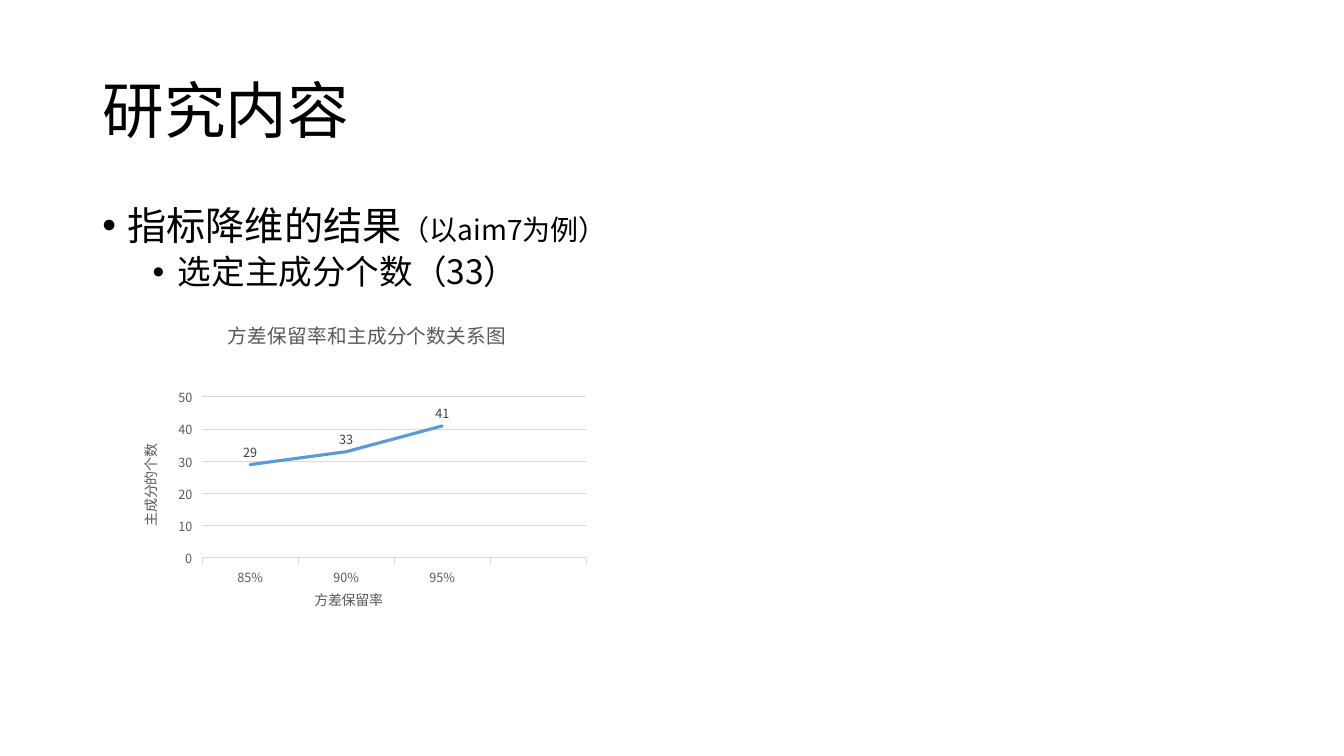
from lxml import etree
from pptx import Presentation
from pptx.chart.data import CategoryChartData
from pptx.dml.color import RGBColor
from pptx.enum import chart as kinds, text
from pptx.oxml.ns import qn
from pptx.util import Pt

FONT = "Noto Sans CJK SC"
BLACK = RGBColor(0x00, 0x00, 0x00)
DARK_GRAY = RGBColor(0x40, 0x40, 0x40)
GRAY = RGBColor(0x59, 0x59, 0x59)
LIGHT_GRAY = RGBColor(0xD9, 0xD9, 0xD9)
BLUE = RGBColor(0x5B, 0x9B, 0xD5)
ORANGE = RGBColor(0xED, 0x7D, 0x31)
SILVER = RGBColor(0xA5, 0xA5, 0xA5)


def style(font, size, color):
    font.name, font.size, font.bold = FONT, Pt(size), False
    font.color.rgb = color


def place(element, index, **fractions):
    """Give a chart part a fixed layout in fractions of the chart."""
    for old in element.findall(qn("c:layout")):
        element.remove(old)
    layout = etree.Element(qn("c:layout"))
    manual = etree.SubElement(layout, qn("c:manualLayout"))
    for name, value in fractions.items():
        etree.SubElement(manual, qn(f"c:{name}")).set("val", str(value))
    element.insert(index, layout)


deck = Presentation()
deck.slide_width, deck.slide_height = Pt(960), Pt(540)
page = deck.slides.add_slide(deck.slide_layouts[5])

# Title
title = page.shapes.title
title.left, title.top, title.width, title.height = Pt(66), Pt(28.75), Pt(828), Pt(104.4)
title.text_frame.text = "研究内容"
title.text_frame.vertical_anchor = text.MSO_ANCHOR.MIDDLE
heading = title.text_frame.paragraphs[0]
heading.alignment = text.PP_ALIGN.LEFT
heading.line_spacing = 0.9
style(heading.runs[0].font, 44, BLACK)

# Bulleted text
bullets = [
    (0, 18, 10, [("指标降维的结果", 28), ("（以aim7为例）", 20)]),
    (1, 54, 5, [("选定主成分个数（33）", 24)]),
]
box = page.shapes.add_textbox(Pt(66), Pt(143.75), Pt(828), Pt(342.6))
frame = box.text_frame
frame.word_wrap = True
for number, (level, margin, space, spans) in enumerate(bullets):
    para = frame.add_paragraph() if number else frame.paragraphs[0]
    para.level, para.line_spacing, para.space_before = level, 0.9, Pt(space)
    for wording, size in spans:
        span = para.add_run()
        span.text = wording
        style(span.font, size, BLACK)
    properties = para._p.get_or_add_pPr()
    properties.set("marL", str(Pt(margin)))
    properties.set("indent", str(Pt(-18)))
    etree.SubElement(properties, qn("a:buFont")).set("typeface", "Arial")
    etree.SubElement(properties, qn("a:buChar")).set("char", "•")

# Line chart: the last category and the last two series are empty
data = CategoryChartData()
data.categories = [0.85, 0.9, 0.95, ""]
data.categories.number_format = "0%"
data.add_series("Series 1", [29, 33, 41, None])
for name in ("Series 2", "Series 3"):
    data.add_series(name, [None] * 4)
chart = page.shapes.add_chart(
    kinds.XL_CHART_TYPE.LINE, Pt(66), Pt(217.5), Pt(392), Pt(244.8), data
).chart
style(chart.font, 10, BLACK)
chart.has_legend = False
place(chart.element.find(".//" + qn("c:plotArea")), 0, layoutTarget="inner",
      xMode="edge", yMode="edge", x=0.2, y=0.27, w=0.7, h=0.47)
for point in list(chart.element.iter(qn("c:pt"))):
    if not point.findtext(qn("c:v")):
        point.getparent().remove(point)

# Axes
categories, values = chart.category_axis, chart.value_axis
for axis in (categories, values):
    style(axis.tick_labels.font, 9, GRAY)
    axis.major_tick_mark = kinds.XL_TICK_MARK.OUTSIDE
    axis.minor_tick_mark = kinds.XL_TICK_MARK.NONE
categories.tick_labels.number_format = "0%"
categories.tick_labels.number_format_is_linked = False
categories.format.line.color.rgb = LIGHT_GRAY
categories.format.line.width = Pt(0.75)
values.format.line.fill.background()
values.minimum_scale, values.maximum_scale, values.major_unit = 0, 50, 10
values.has_major_gridlines = True
values.major_gridlines.format.line.color.rgb = LIGHT_GRAY
values.major_gridlines.format.line.width = Pt(0.75)

# Chart and axis titles
for owner, wording, size, x, y in [
    (chart, "方差保留率和主成分个数关系图", 14, 0.24, 0.03),
    (categories, "方差保留率", 10, 0.4, 0.82),
    (values, "主成分的个数", 10, 0.08, 0.4),
]:
    owner.has_title = True
    label = owner.chart_title if owner is chart else owner.axis_title
    label.text_frame.text = wording
    style(label.text_frame.paragraphs[0].runs[0].font, size, GRAY)
    place(label.element, 1, xMode="edge", yMode="edge", x=x, y=y)
values.axis_title.text_frame._txBody.bodyPr.set("rot", "-5400000")
values.axis_title.text_frame._txBody.bodyPr.set("vert", "horz")

# Series and their labels
plot = chart.plots[0]
plot.vary_by_categories = False
for series, color in zip(plot.series, (BLUE, ORANGE, SILVER)):
    series.smooth = False
    series.marker.style = kinds.XL_MARKER_STYLE.NONE
    series.format.line.color.rgb = color
    series.format.line.width = Pt(2.25)
    series.format.line._get_or_add_ln().set("cap", "rnd")
    labels = series.data_labels
    labels.show_value = True
    labels.position = kinds.XL_LABEL_POSITION.ABOVE
    style(labels.font, 9, DARK_GRAY)

# Same font for Chinese characters
for root in (page.element, chart.element):
    for latin in list(root.iter(qn("a:latin"))):
        east_asian = etree.Element(qn("a:ea"))
        east_asian.set("typeface", FONT)
        latin.addnext(east_asian)

deck.save("out.pptx")
